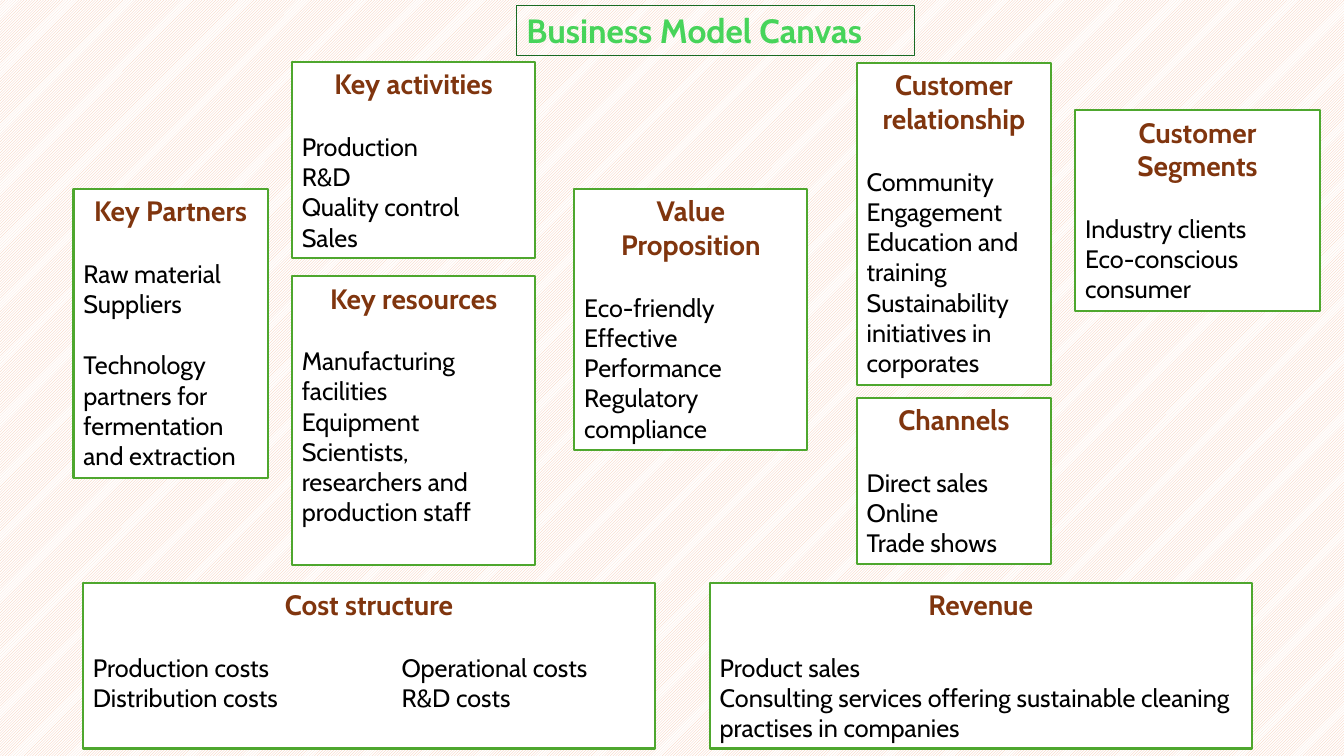
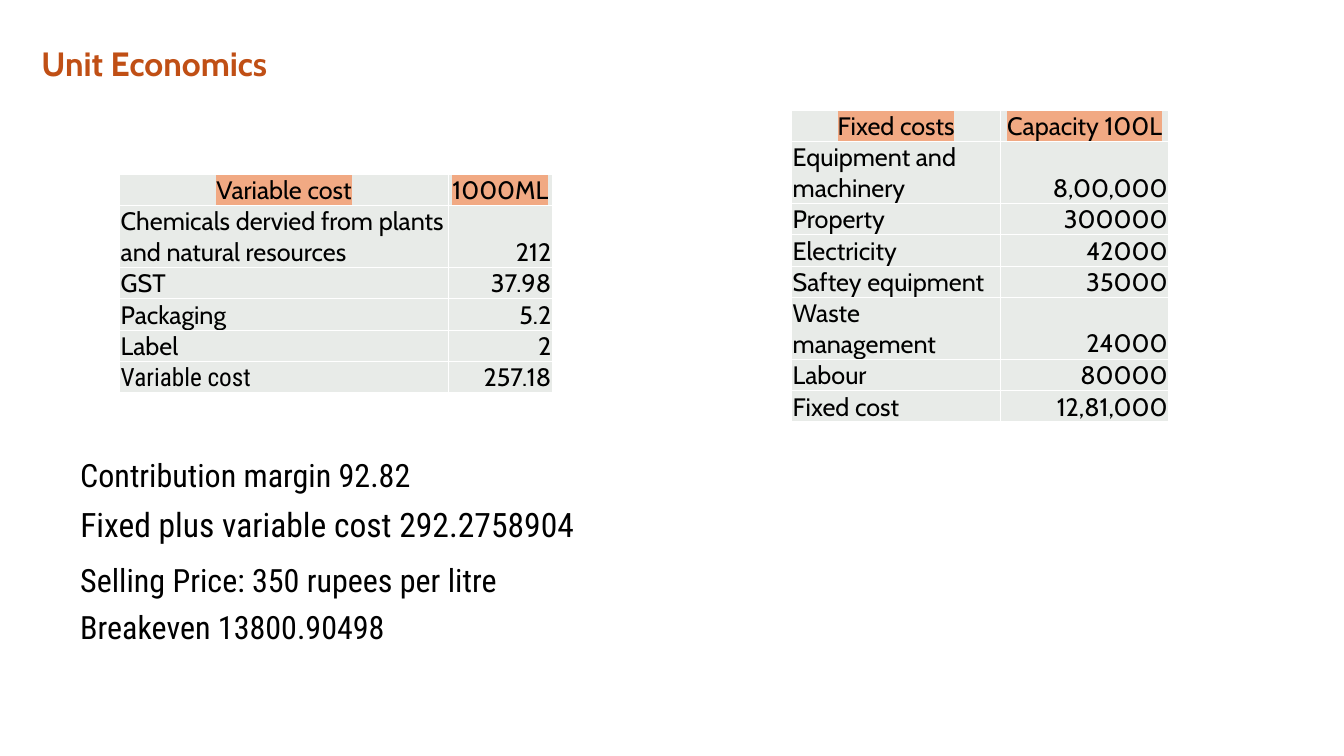
"""Build a business model canvas slide and a unit economics slide."""
from lxml import etree
from pptx import Presentation
from pptx.dml.color import RGBColor
from pptx.enum.dml import MSO_PATTERN
from pptx.enum.shapes import MSO_SHAPE
from pptx.enum.text import MSO_ANCHOR, PP_ALIGN
from pptx.oxml.ns import qn
from pptx.util import Pt

PX = 9525
WIDTH, HEIGHT = 1280, 720
BLANK_LAYOUT = 6
LEFT, CENTER, RIGHT = PP_ALIGN.LEFT, PP_ALIGN.CENTER, PP_ALIGN.RIGHT
TOP, BOTTOM = MSO_ANCHOR.TOP, MSO_ANCHOR.BOTTOM
RECTANGLE = MSO_SHAPE.RECTANGLE
STRIPES = MSO_PATTERN.LIGHT_UPWARD_DIAGONAL

MAIN_FONT, NARROW_FONT = "Cabin", "Roboto Condensed"
TITLE_SIZE, HEADING_SIZE, BODY_SIZE, FIGURE_SIZE = 24, 20, 18, 22.9
BODY_GAP = 22
COLUMN_TAB = 294
ROW_HEIGHT, TALL_ROW_HEIGHT = 29, 59

COLORS = {
    "white": "FFFFFF",
    "text": "000000",
    "stripe": "F6C6AD",
    "card_line": "4EA72E",
    "card_heading": "80350E",
    "canvas_title": "47D45A",
    "canvas_title_line": "196B24",
    "economics_title": "C04F15",
    "cell": "E8EBE8",
    "highlight": "F1A983",
}

CARDS = [
    ("Key Partners", (70, 180, 185, 275), BODY_GAP,
     ["Raw material Suppliers",
      "Technology partners for fermentation and extraction"]),
    ("Key activities", (278, 59, 232, 187), 0,
     ["Production", "R&D", "Quality control", "Sales"]),
    ("Key resources", (278, 263, 232, 275), 0,
     ["Manufacturing facilities", "Equipment",
      "Scientists, researchers and production staff"]),
    ("Value Proposition", (547, 180, 222, 249), 0,
     ["Eco-friendly", "Effective Performance", "Regulatory compliance"]),
    ("Customer relationship", (816, 60, 185, 307), 0,
     ["Community Engagement", "Education and training",
      "Sustainability initiatives in corporates"]),
    ("Channels", (816, 379, 185, 158), 0,
     ["Direct sales", "Online", "Trade shows"]),
    ("Customer Segments", (1024, 105, 233, 191), 0,
     ["Industry clients", "Eco-conscious consumer"]),
    ("Cost structure", (79, 555, 545, 158), 0,
     ["Production costs\tOperational costs", "Distribution costs\tR&D costs"]),
    ("Revenue", (676, 555, 516, 158), 0,
     ["Product sales",
      "Consulting services offering sustainable cleaning practises in companies"]),
]

FIXED_COSTS = [
    ("Fixed costs", "Capacity 100L"),
    ("Equipment and machinery", "8,00,000"),
    ("Property", "300000"),
    ("Electricity", "42000"),
    ("Saftey equipment", "35000"),
    ("Waste management", "24000"),
    ("Labour", "80000"),
    ("Fixed cost", "12,81,000"),
]
VARIABLE_COSTS = [
    ("Variable cost", "1000ML"),
    ("Chemicals dervied from plants and natural resources", "212"),
    ("GST", "37.98"),
    ("Packaging", "5.2"),
    ("Label", "2"),
    ("Variable cost", "257.18"),
]
FIGURES = [
    ((67, 429, 816, 47), FIGURE_SIZE, 6, ["Contribution margin 92.82"]),
    ((67, 529, 816, 91), FIGURE_SIZE, 6,
     ["Selling Price: 350 rupees per litre", "Breakeven 13800.90498"]),
    ((67, 475, 640, 48), TITLE_SIZE, 0, ["Fixed plus variable cost 292.2758904"]),
]


def emu(lengths):
    """Turn px lengths into EMU."""
    return [length * PX for length in lengths]


def rgb(name):
    """Look up a named colour."""
    return RGBColor.from_string(COLORS[name])


def add_color(parent, tag, name):
    """Add an XML element that holds one colour."""
    element = etree.SubElement(parent, qn(tag))
    etree.SubElement(element, qn("a:srgbClr"), val=COLORS[name])


def write(paragraph, text, size, color="text", font=MAIN_FONT, bold=False, align=LEFT):
    """Write one paragraph in one style."""
    paragraph.text = text
    paragraph.alignment = align
    if "\t" in text:
        tabs = etree.SubElement(paragraph._p.get_or_add_pPr(), qn("a:tabLst"))
        etree.SubElement(tabs, qn("a:tab"), pos=str(COLUMN_TAB * PX), algn="l")
    paragraph.font.size = Pt(size)
    paragraph.font.name = font
    paragraph.font.bold = bold
    paragraph.font.color.rgb = rgb(color)


def add_text_box(slide, box):
    """Add a wrapping text box."""
    label = slide.shapes.add_textbox(*emu(box))
    label.text_frame.word_wrap = True
    return label


def add_title(slide, text, box, color, outline=None):
    """Add a slide title, framed if an outline colour is given."""
    title = add_text_box(slide, box)
    if outline:
        title.line.color.rgb = rgb(outline)
        title.line.width = Pt(0.75)
    write(title.text_frame.paragraphs[0], text, TITLE_SIZE, color, bold=True)


def add_card(slide, heading, box, item_gap, items):
    """Add one outlined block of the canvas."""
    card = slide.shapes.add_shape(RECTANGLE, *emu(box))
    card.shadow.inherit = False
    card.fill.solid()
    card.fill.fore_color.rgb = rgb("white")
    card.line.color.rgb = rgb("card_line")
    card.line.width = Pt(1.5)
    frame = card.text_frame
    frame.word_wrap = True
    frame.vertical_anchor = TOP
    write(frame.paragraphs[0], heading, HEADING_SIZE, "card_heading",
          bold=True, align=CENTER)
    for index, item in enumerate(items):
        paragraph = frame.add_paragraph()
        write(paragraph, item, BODY_SIZE)
        paragraph.space_before = Pt(item_gap if index else BODY_GAP)


def style_cell(cell):
    """Give a cell its margins, white borders and fill."""
    cell.margin_left = cell.margin_right = cell.margin_top = PX
    cell.margin_bottom = 0
    cell.vertical_anchor = BOTTOM
    properties = cell._tc.get_or_add_tcPr()
    for side in ("a:lnL", "a:lnR", "a:lnT", "a:lnB"):
        border = etree.SubElement(properties, qn(side), w=str(Pt(1)))
        add_color(border, "a:solidFill", "white")
    cell.fill.solid()
    cell.fill.fore_color.rgb = rgb("cell")


def add_cost_table(slide, origin, widths, costs, tall_rows, total_font=MAIN_FONT):
    """Add a two-column cost table with highlighted headings."""
    heights = [TALL_ROW_HEIGHT if row in tall_rows else ROW_HEIGHT
               for row in range(len(costs))]
    box = (*origin, sum(widths), sum(heights))
    table = slide.shapes.add_table(len(costs), len(widths), *emu(box)).table
    table.first_row = table.horz_banding = False
    for column, width in zip(table.columns, emu(widths)):
        column.width = width
    for row, height in zip(table.rows, emu(heights)):
        row.height = height
    for row, cost in enumerate(costs):
        for column, text in enumerate(cost):
            cell = table.cell(row, column)
            style_cell(cell)
            paragraph = cell.text_frame.paragraphs[0]
            is_total_label = row == len(costs) - 1 and column == 0
            write(paragraph, text, BODY_SIZE,
                  font=total_font if is_total_label else MAIN_FONT,
                  align=(LEFT, RIGHT)[column] if row else CENTER)
            if row == 0:
                add_color(paragraph.runs[0]._r.get_or_add_rPr(),
                          "a:highlight", "highlight")


def add_figures(slide, box, size, space_after, lines):
    """Add a box of key figures."""
    frame = add_text_box(slide, box).text_frame
    for index, line in enumerate(lines):
        paragraph = frame.add_paragraph() if index else frame.paragraphs[0]
        write(paragraph, line, size, font=NARROW_FONT)
        paragraph.space_after = Pt(space_after)


def build_canvas(slide):
    """Fill the business model canvas slide."""
    background = slide.background.fill
    background.patterned()
    background.pattern = STRIPES
    background.fore_color.rgb = rgb("stripe")
    background.back_color.rgb = rgb("white")
    for card in CARDS:
        add_card(slide, *card)
    add_title(slide, "Business Model Canvas", (492, 5, 379, 48),
              "canvas_title", "canvas_title_line")


def build_economics(slide):
    """Fill the unit economics slide."""
    add_cost_table(slide, (754, 105), (199, 160), FIXED_COSTS, {1, 5})
    add_cost_table(slide, (114, 166), (313, 99), VARIABLE_COSTS, {1}, NARROW_FONT)
    for figures in FIGURES:
        add_figures(slide, *figures)
    add_title(slide, "Unit Economics", (30, 36, 640, 48), "economics_title")


def main():
    """Build and save the presentation."""
    deck = Presentation()
    deck.slide_width, deck.slide_height = emu((WIDTH, HEIGHT))
    for build in (build_canvas, build_economics):
        build(deck.slides.add_slide(deck.slide_layouts[BLANK_LAYOUT]))
    deck.save("out.pptx")


if __name__ == "__main__":
    main()
